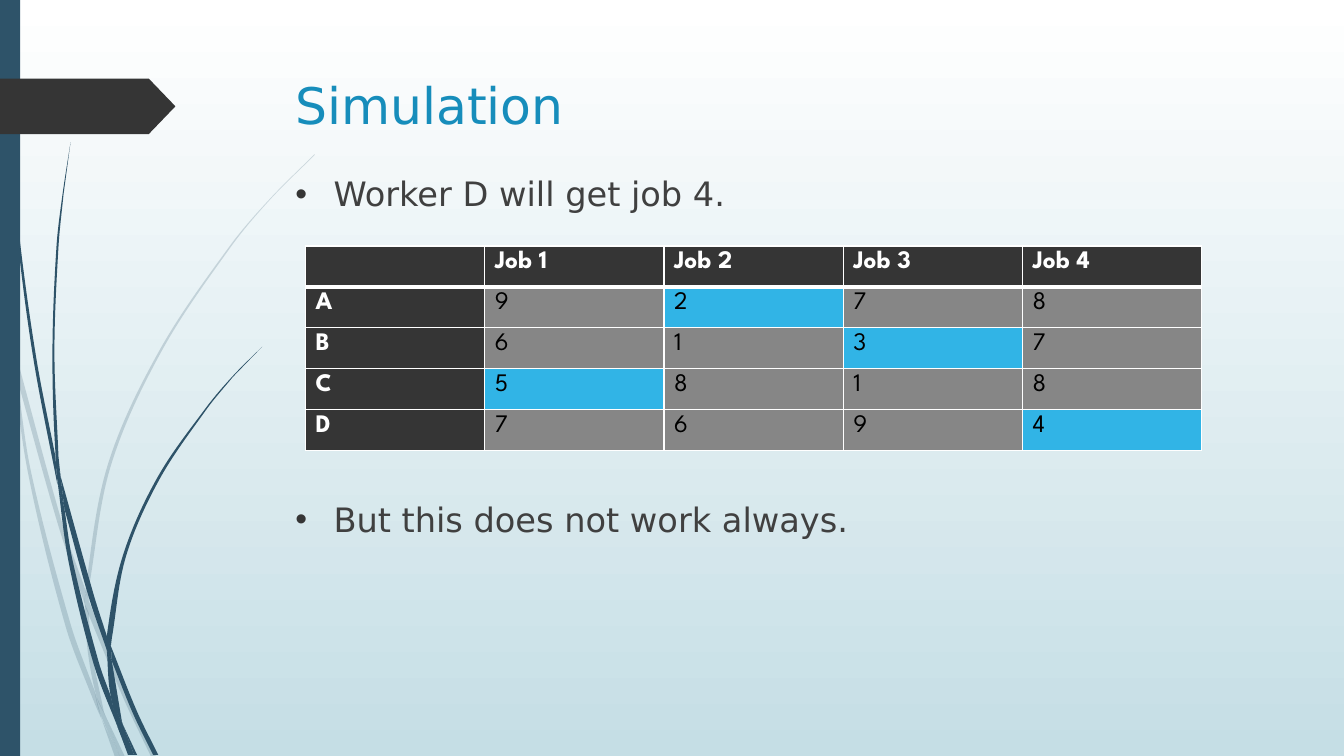
from math import hypot

from lxml.etree import SubElement
from pptx import Presentation
from pptx.dml.color import RGBColor
from pptx.enum.shapes import MSO_SHAPE
from pptx.enum.text import MSO_ANCHOR
from pptx.oxml.ns import qn
from pptx.util import Inches, Pt

# The grid has one-inch columns and rows
COLUMNS, ROWS = 13.33, 7.5
TEXT_FONT, TABLE_FONT = "DejaVu Sans", "League Spartan"
NAVY, CHARCOAL, GREY, SKY, WHITE = "2E5369", "353535", "868686", "31B4E6", "FFFFFF"

COSTS = [
    ["", "Job 1", "Job 2", "Job 3", "Job 4"],
    ["A", "9", "2", "7", "8"],
    ["B", "6", "1", "3", "7"],
    ["C", "5", "8", "1", "8"],
    ["D", "7", "6", "9", "4"],
]
ASSIGNED = {(1, 2), (2, 3), (3, 1), (4, 4)}

# Each piece of grass has two edges: one runs down, the other back up
PALE_GRASS = [
    ([(0, 2.82), (0.09, 3.22), (0.11, 3.5)], [(0.1, 3.44), (0, 2.99)]),
    ([(0.14, 3.45), (0.62, 5.2), (0.85, 5.86)],
     [(0.84, 5.99), (0.58, 5.22), (0.17, 3.76)]),
    ([(0.88, 5.96), (1.27, 6.92), (1.55, 7.51)],
     [(1.5, 7.51), (1.23, 6.94), (0.88, 6.1)]),
    ([(1.05, 7.11), (1.24, 7.51)], [(1.19, 7.51)]),
    ([(0.11, 3.5), (0.28, 4.7), (0.65, 6.21), (0.92, 6.93), (1.01, 7.14)],
     [(0.93, 6.83), (0.7, 6.19), (0.31, 4.69), (0.17, 3.76)]),
    ([(0.84, 5.99), (0.87, 6.46), (0.96, 6.92), (1.05, 7.11)],
     [(1.03, 7.06), (0.91, 6.46), (0.88, 6.08)]),
    ([(3.12, 1.53), (2.68, 1.97), (2.28, 2.44), (1.58, 3.48), (1.07, 4.61),
      (0.85, 5.84), (0.88, 5.96)],
     [(0.88, 5.84), (1.1, 4.62), (1.6, 3.49), (2.29, 2.45), (2.68, 1.98),
      (3.12, 1.54)]),
    ([(1.01, 7.14), (1.14, 7.51)], [(1.19, 7.51)]),
    ([(0.85, 5.86), (0.84, 5.99), (0.88, 6.1)], [(0.88, 5.96)]),
    ([(0.93, 6.83), (0.99, 7.07), (1.19, 7.51)], [(1.05, 7.11), (0.96, 6.92)]),
]
DARK_GRASS = [
    ([(0.03, 0), (0.07, 1.1), (0.17, 2.33), (0.33, 3.55), (0.57, 4.81)],
     [(0.55, 4.53), (0.36, 3.55), (0.19, 2.32), (0.08, 1.09), (0.04, 0)]),
    ([(0.6, 4.72), (0.93, 5.9), (1.06, 6.31)],
     [(1.06, 6.45), (0.88, 5.92), (0.64, 5.05)]),
    ([(1.1, 6.41), (1.36, 7.06), (1.57, 7.49)],
     [(1.52, 7.49), (1.32, 7.08), (1.11, 6.56)]),
    ([(0.57, 4.77), (0.68, 5.57), (0.93, 6.59), (1.17, 7.22)],
     [(1.1, 6.91), (0.98, 6.57), (0.72, 5.56), (0.64, 5.05)]),
    ([(0.7, 1.41), (0.62, 1.93), (0.56, 2.45), (0.52, 3.49), (0.55, 4.49),
      (0.6, 4.72)], [(0.58, 4.53), (0.54, 3.49), (0.58, 2.45), (0.63, 1.93)]),
    ([(1.22, 7.19), (1.36, 7.49)], [(1.33, 7.49)]),
    ([(0.55, 4.49), (0.57, 4.77), (0.64, 5.05)], [(0.6, 4.72)]),
    ([(2.6, 3.44), (2.31, 3.73), (2.04, 4.05), (1.56, 4.74), (1.22, 5.51),
      (1.06, 6.31), (1.1, 6.41)],
     [(1.11, 6.33), (1.25, 5.52), (1.58, 4.76), (2.05, 4.06), (2.31, 3.74)]),
    ([(1.17, 7.22), (1.27, 7.49)], [(1.31, 7.49)]),
    ([(1.06, 6.45), (1.1, 6.91), (1.22, 7.19)], [(1.21, 7.16), (1.11, 6.56)]),
    ([(1.06, 6.31), (1.06, 6.45), (1.11, 6.56)], [(1.1, 6.41)]),
    ([(1.1, 6.91), (1.17, 7.22), (1.3, 7.49)],
     [(1.33, 7.49), (1.22, 7.19), (1.16, 7.06)]),
]


def color(code):
    return RGBColor.from_string(code)


def paint(shape, code, opacity=100):
    shape.shadow.inherit = False
    shape.line.fill.background()
    shape.fill.solid()
    shape.fill.fore_color.rgb = color(code)
    if opacity < 100:
        tint = shape.fill._xPr.find(qn("a:solidFill"))[0]
        SubElement(tint, qn("a:alpha"), val=str(opacity * 1000))


def handles(edge, i):
    """Bezier handles of the segment of the edge that ends at point i."""
    (x0, y0), (x1, y1) = edge[i - 1], edge[i]
    reach = hypot(x1 - x0, y1 - y0) / 3
    points = []
    for at, way in ((i - 1, 1), (i, -1)):
        (ax, ay), (bx, by) = edge[max(at - 1, 0)], edge[min(at + 1, len(edge) - 1)]
        share = way * reach / (hypot(bx - ax, by - ay) or 1)
        points.append((edge[at][0] + (bx - ax) * share,
                       edge[at][1] + (by - ay) * share))
    return points


def add_grass(page, edges, opacity):
    outline = [(Inches(x), Inches(y)) for edge in edges for x, y in edge]
    builder = page.shapes.build_freeform(*outline[0])
    builder.add_line_segments(outline[1:], close=True)
    shape = builder.convert_to_shape()
    paint(shape, NAVY, opacity)
    # Bend the straight segments within each edge
    lines = iter(list(shape._element.iter(qn("a:lnTo"))))
    for number, edge in enumerate(edges):
        if number:
            next(lines)
        for i in range(1, len(edge)):
            line = next(lines)
            for place, (x, y) in enumerate(handles(edge, i)):
                point = line.makeelement(qn("a:pt"), {
                    "x": str(Inches(x) - shape.left),
                    "y": str(Inches(y) - shape.top)})
                line.insert(place, point)
            line.tag = qn("a:cubicBezTo")


def add_block(page, kind, left, top, width, height, code):
    block = page.shapes.add_shape(
        kind, Inches(left), Inches(top), Inches(width), Inches(height))
    paint(block, code)
    return block


def add_span(para, text, font, size, code, bold=False):
    span = para.add_run()
    span.text = text
    span.font.name, span.font.size, span.font.bold = font, Pt(size), bold
    span.font.color.rgb = color(code)


def add_text_frame(page, left, top, width, height, inset):
    frame = page.shapes.add_textbox(
        Inches(left), Inches(top), Inches(width), Inches(height)).text_frame
    frame.word_wrap = True
    frame.vertical_anchor = MSO_ANCHOR.TOP
    frame.margin_top = Inches(inset)
    return frame


def add_bullet(para, text):
    properties = para._p.get_or_add_pPr()
    properties.set("marL", str(Inches(0.38)))
    properties.set("indent", str(-Inches(0.38)))
    tint = SubElement(properties, qn("a:buClr"))
    SubElement(tint, qn("a:srgbClr"), val=CHARCOAL)
    SubElement(properties, qn("a:buFont"), typeface="Arial")
    SubElement(properties, qn("a:buChar"), char="•")
    add_span(para, text, TEXT_FONT, 24, "404040")


def add_borders(cell, widths):
    properties = cell._tc.get_or_add_tcPr()
    for side, width in widths.items():
        line = SubElement(properties, qn(f"a:ln{side}"), w=str(Pt(width)))
        fill = SubElement(line, qn("a:solidFill"))
        SubElement(fill, qn("a:srgbClr"), val=WHITE)


def add_cost_table(page, left, top, width, height):
    table = page.shapes.add_table(
        len(COSTS), len(COSTS[0]), Inches(left), Inches(top),
        Inches(width), Inches(height)).table
    for i, values in enumerate(COSTS):
        for j, value in enumerate(values):
            cell = table.cell(i, j)
            heading = i == 0 or j == 0
            add_borders(cell, {"L": 1, "R": 1, "T": 3 if i == 1 else 1,
                               "B": 3 if i == 0 else 1})
            cell.fill.solid()
            cell.fill.fore_color.rgb = color(
                CHARCOAL if heading else SKY if (i, j) in ASSIGNED else GREY)
            if value:
                add_span(cell.text_frame.paragraphs[0], value, TABLE_FONT, 18,
                         WHITE if heading else "000000", heading)


def main():
    deck = Presentation()
    deck.slide_width, deck.slide_height = Inches(COLUMNS), Inches(ROWS)
    page = deck.slides.add_slide(deck.slide_layouts[6])
    # Background gradient, top to bottom
    backdrop = page.background.fill
    backdrop.gradient()
    backdrop.gradient_angle = 270
    for stop, code in zip(backdrop.gradient_stops, (WHITE, "C5DEE5")):
        stop.color.rgb = color(code)
    # Grass, side bar and tag
    for pieces, opacity in ((PALE_GRASS, 20), (DARK_GRASS, 100)):
        for edges in pieces:
            add_grass(page, edges, opacity)
    add_block(page, MSO_SHAPE.RECTANGLE, 0, 0, 0.2, ROWS, NAVY)
    tag = add_block(page, MSO_SHAPE.PENTAGON, 0, 0.78, 1.74, 0.55, CHARCOAL)
    tag.adjustments[0] = 0.48
    # Title and bullets
    title = add_text_frame(page, 2.83, 0.68, 9.75, 0.86, 0.06)
    add_span(title.paragraphs[0], "Simulation", TEXT_FONT, 36, "178DBB")
    body = add_text_frame(page, 2.83, 1.67, 9.75, 4.79, 0.05)
    add_bullet(body.paragraphs[0], "Worker D will get job 4.")
    closing = body.add_paragraph()
    closing.space_before = Pt(204)
    add_bullet(closing, "But this does not work always.")
    # Cost table
    add_cost_table(page, 3.03, 2.44, 8.89, 2.03)
    deck.save("out.pptx")


if __name__ == "__main__":
    main()
